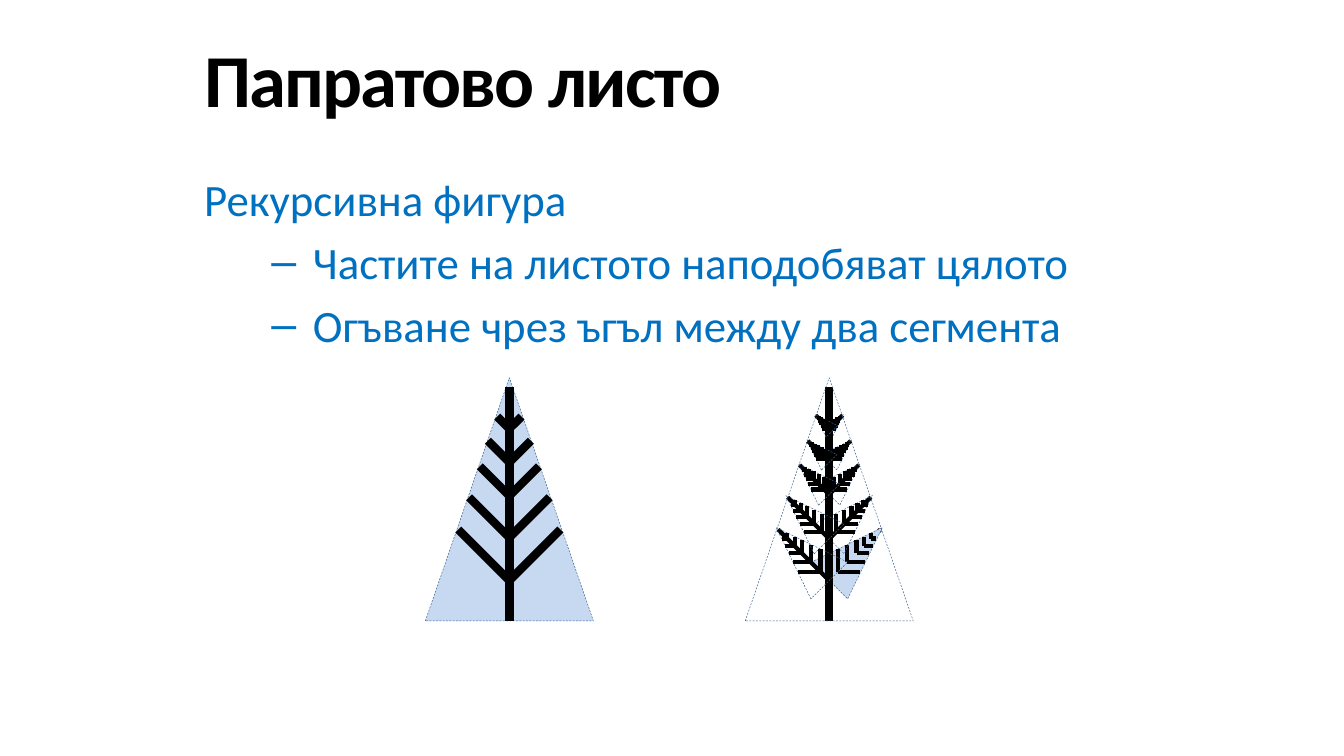
import math

from lxml import etree
from pptx import Presentation
from pptx.dml.color import RGBColor
from pptx.enum import dml, shapes, text
from pptx.oxml import ns
from pptx.util import Inches, Pt

BLACK = RGBColor(0x00, 0x00, 0x00)
BLUE = RGBColor(0x00, 0x70, 0xC0)
LEAF_FILL = RGBColor(0xC6, 0xD9, 0xF1)
LEAF_LINE = RGBColor(0x3A, 0x5F, 0x8C)
FONT = "Calibri"

TITLE = "Папратово листо"
BODY = [  # text, has a dash
    ("Рекурсивна фигура", False),
    ("Частите на листото наподобяват цялото", True),
    ("Огъване чрез ъгъл между два сегмента", True),
]

# A full-size leaf, measured from its tip
LEAF_WIDTH, LEAF_HEIGHT, STEM_TOP = 1.25, 1.81, 0.07
BRANCHES = [(0.38, 1.13), (0.30, 0.89), (0.22, 0.66), (0.16, 0.47), (0.09, 0.29)]
# Small leaves: stem end across and down from the tip, horizontal run of the stem
SMALL_LEAVES = [(0.38, 1.13, 0.38), (0.31, 0.89, 0.31), (0.10, 0.28, 0.12),
                (0.22, 0.65, 0.22), (0.16, 0.47, 0.16)]
LEFT_TIP, RIGHT_TIP = (3.79, 2.81), (6.17, 2.81)


def add_line(parent, start, end, width):
    line = parent.add_connector(shapes.MSO_CONNECTOR.STRAIGHT,
                                *(Inches(value) for value in (*start, *end)))
    line.line.color.rgb = BLACK
    line.line.width = Pt(width)
    etree.SubElement(line._element.spPr, ns.qn("a:effectLst"))


def leaf_point(tip, scale, angle, across, down):
    """Place a point of a full-size leaf on a scaled and turned one."""
    turn = math.radians(angle)
    return (tip[0] + scale * (across * math.cos(turn) - down * math.sin(turn)),
            tip[1] + scale * (across * math.sin(turn) + down * math.cos(turn)))


def add_outline(parent, tip, scale=1, angle=0, filled=False):
    width, height = LEAF_WIDTH * scale, LEAF_HEIGHT * scale
    center = leaf_point(tip, scale, angle, 0, LEAF_HEIGHT / 2)
    triangle = parent.add_shape(shapes.MSO_SHAPE.ISOSCELES_TRIANGLE,
                                Inches(center[0] - width / 2), Inches(center[1] - height / 2),
                                Inches(width), Inches(height))
    triangle.rotation = angle
    triangle.shadow.inherit = False
    if filled:
        triangle.fill.solid()
        triangle.fill.fore_color.rgb = LEAF_FILL
    else:
        triangle.fill.background()
    triangle.line.color.rgb = LEAF_LINE
    triangle.line.width = Pt(0.25)
    triangle.line.dash_style = dml.MSO_LINE.DASH


def add_stem(parent, tip, width, scale=1, angle=0):
    add_line(parent, leaf_point(tip, scale, angle, 0, STEM_TOP),
             leaf_point(tip, scale, angle, 0, LEAF_HEIGHT), width)


def add_branches(parent, tip, width, scale=1, angle=0):
    for side in (1, -1):
        for across, down in BRANCHES:
            add_line(parent, leaf_point(tip, scale, angle, side * across, down),
                     leaf_point(tip, scale, angle, 0, down + across), width)


def add_small_leaves(slide, side, fill_first):
    group = slide.shapes.add_group_shape().shapes
    angle = 45 * side
    for index, (across, down, run) in enumerate(SMALL_LEAVES):
        scale = run * math.sqrt(2) / (LEAF_HEIGHT - STEM_TOP)
        stem_end = (RIGHT_TIP[0] + side * across, RIGHT_TIP[1] + down)
        tip = leaf_point(stem_end, scale, angle, 0, -STEM_TOP)
        add_stem(group, tip, 2.25, scale, angle)
        add_outline(group, tip, scale, angle, fill_first and index == 0)
        add_branches(group, tip, 2.25, scale, angle)


def add_text_box(slide, left, top, width, height):
    frame = slide.shapes.add_textbox(*map(Inches, (left, top, width, height))).text_frame
    frame.word_wrap = True
    return frame


def set_font(paragraph, size, color, bold=False):
    for run in paragraph.runs:
        run.font.name = FONT
        run.font.size = Pt(size)
        run.font.color.rgb = color
        run.font.bold = bold


def add_dash(paragraph):
    properties = paragraph._p.get_or_add_pPr()
    properties.set("marL", str(Inches(0.81)))
    properties.set("indent", str(Inches(-0.31)))
    etree.SubElement(properties, ns.qn("a:buFont")).set("typeface", "Arial")
    etree.SubElement(properties, ns.qn("a:buChar")).set("char", "–")


def add_texts(slide):
    body = add_text_box(slide, 1.42, 1.23, 8.58, 4.08)
    for index, (words, dashed) in enumerate(BODY):
        paragraph = body.add_paragraph() if index else body.paragraphs[0]
        paragraph.text = words
        if dashed:
            add_dash(paragraph)
        if index:
            paragraph.space_before = Pt(4.8)
        set_font(paragraph, 24, BLUE)

    title = add_text_box(slide, 1.42, 0.15, 8.58, 0.85)
    title.vertical_anchor = text.MSO_ANCHOR.MIDDLE
    title.text = TITLE
    set_font(title.paragraphs[0], 40, BLACK, bold=True)
    title.paragraphs[0].runs[0].font._element.set("spc", "-100")


def main():
    presentation = Presentation()
    presentation.slide_width = Inches(10)
    presentation.slide_height = Inches(10) * 9 // 16
    slide = presentation.slides.add_slide(presentation.slide_layouts[6])
    add_texts(slide)

    add_outline(slide.shapes, LEFT_TIP, filled=True)
    add_small_leaves(slide, 1, fill_first=True)
    add_stem(slide.shapes, LEFT_TIP, 4.5)
    add_branches(slide.shapes, LEFT_TIP, 4.5)
    add_stem(slide.shapes, RIGHT_TIP, 4.5)
    add_outline(slide.shapes, RIGHT_TIP)
    add_small_leaves(slide, -1, fill_first=False)
    presentation.save("out.pptx")


if __name__ == "__main__":
    main()
